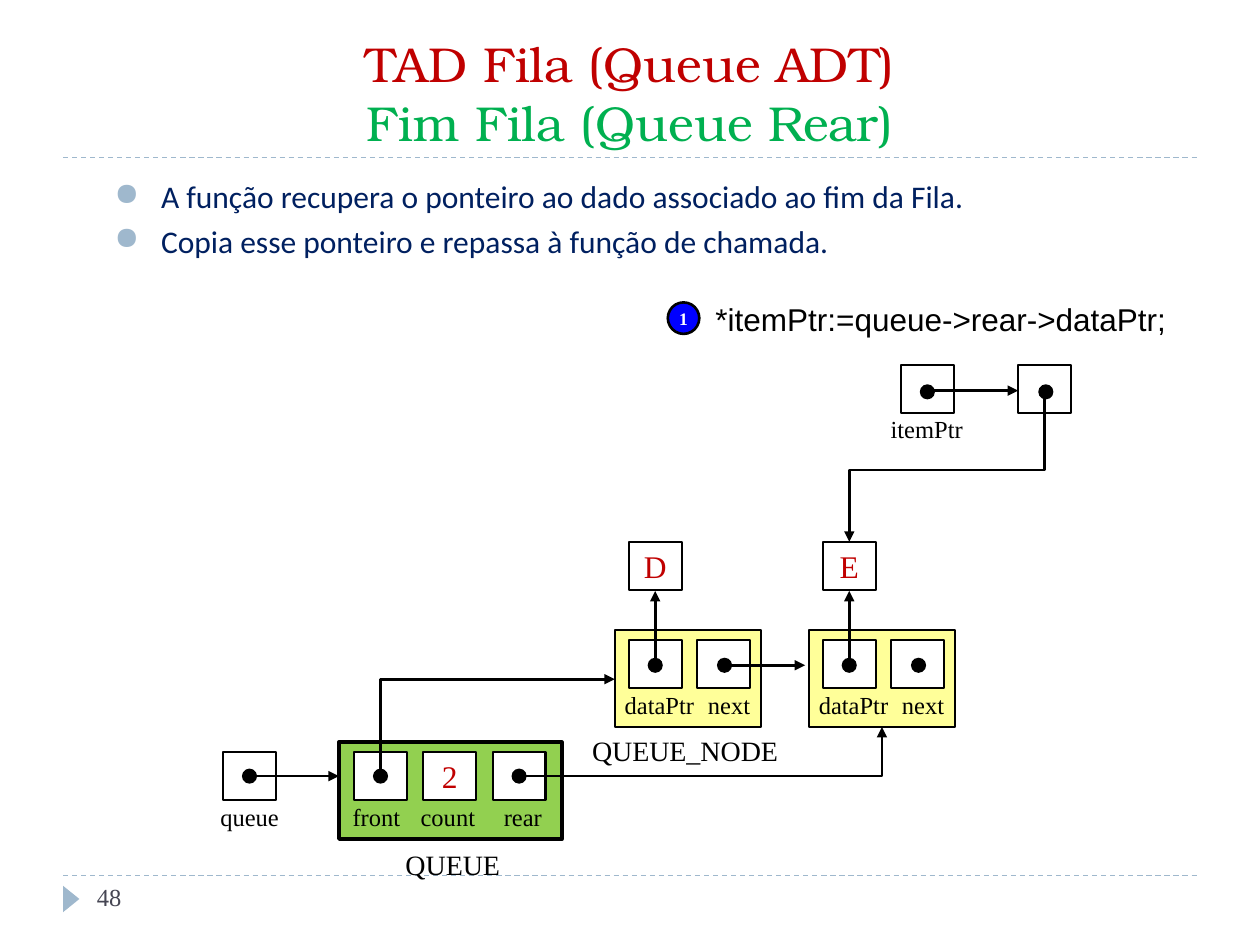
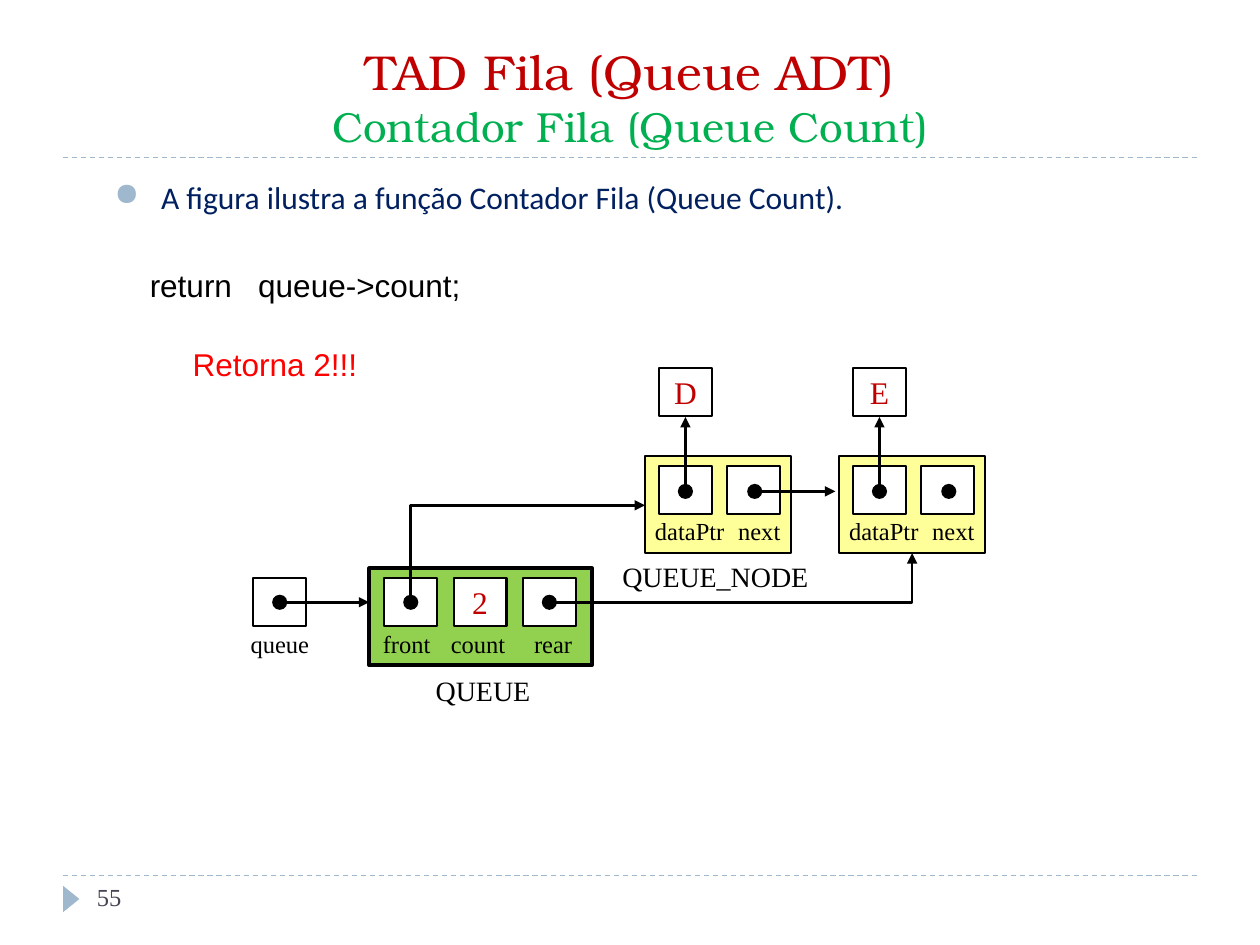
from copy import deepcopy
from lxml import etree
from pptx import Presentation
from pptx.dml.color import RGBColor
from pptx.enum.dml import MSO_LINE
from pptx.enum.shapes import MSO_CONNECTOR, MSO_SHAPE
from pptx.enum.text import MSO_ANCHOR, MSO_AUTO_SIZE, PP_ALIGN
from pptx.oxml.ns import qn
from pptx.util import Pt

PX = 9144
DASH = MSO_LINE.DASH
LINE, ELBOW = MSO_CONNECTOR.STRAIGHT, MSO_CONNECTOR.ELBOW
RECT, OVAL, WEDGE = MSO_SHAPE.RECTANGLE, MSO_SHAPE.OVAL, MSO_SHAPE.ISOSCELES_TRIANGLE
MIDDLE, BOTTOM = MSO_ANCHOR.MIDDLE, MSO_ANCHOR.BOTTOM
CENTER, JUSTIFY = PP_ALIGN.CENTER, PP_ALIGN.JUSTIFY
FIXED = MSO_AUTO_SIZE.NONE

BLACK = RGBColor(0, 0, 0)
WHITE = RGBColor(255, 255, 255)
RED = RGBColor(0xC0, 0, 0)
BRIGHT = RGBColor(255, 0, 0)
GREEN = RGBColor(0, 0xB0, 0x50)
LIME = RGBColor(0x92, 0xD0, 0x50)
YELLOW = RGBColor(0xFF, 0xFF, 0x99)
BLUE = RGBColor(0, 0, 255)
NAVY = RGBColor(0, 0x20, 0x60)
STEEL = RGBColor(0x9F, 0xB8, 0xCD)
SLATE = RGBColor(0x46, 0x46, 0x53)

HEAD, BODY, SERIF, CODE = "TeX Gyre Bonum", "Calibri", "Times New Roman", "Arial"
CELL = (42, 38)
DOT = 12

SLIDES = [
    dict(
        title=[("TAD Fila (Queue ADT)", 28, RED), ("Fim Fila (Queue Rear)", 28, GREEN)],
        number="48",
        points=["A função recupera o ponteiro ao dado associado ao fim da Fila.",
                "Copia esse ponteiro e repassa à função de chamada."],
        shift=(0, 0),
        code=[("*itemPtr:=queue->rear->dataPtr;", (558, 233, 392, 40), BLACK)],
        item=True,
    ),
    dict(
        title=[("TAD Fila (Queue ADT)", 28, RED), ("Contador Fila (Queue Count)", 24, GREEN)],
        number="55",
        points=["A figura ilustra a função Contador Fila (Queue Count)."],
        shift=(24, -138),
        code=[("return   queue->count;", (109, 206, 269, 40), BLACK),
              ("Retorna 2!!!", (143, 269, 152, 40), BRIGHT)],
        item=False,
    ),
]
NAMES = [("QUEUE_NODE", 460, 577, 169), ("QUEUE", 312, 668, 96)]
FIELDS = [("queue", 165, 67), ("front", 270, 58), ("count", 324, 64), ("rear", 390, 51)]
NODES = [("D", 488, 500), ("E", 642, 500)]
PARTS = [("dataPtr", -2, 76), ("next", 64, 54)]


def emu(*vals):
    return [round(v * PX) for v in vals]


def write(para, text, size, font, color, bold=False):
    run = para.add_run()
    run.text = text
    run.font.size, run.font.name, run.font.bold = Pt(size), font, bold
    run.font.color.rgb = color
    return run


class Canvas:
    def __init__(self, shapes, dx=0, dy=0):
        self.shapes, self.dx, self.dy = shapes, dx, dy

    def spot(self, x, y):
        return emu(x + self.dx, y + self.dy)

    def shape(self, kind, x, y, w, h, fill, width=0):
        item = self.shapes.add_shape(kind, *self.spot(x, y), *emu(w, h))
        item.shadow.inherit = False
        item.fill.solid()
        item.fill.fore_color.rgb = fill
        if width:
            item.line.color.rgb = BLACK
            item.line.width = Pt(width)
        else:
            item.line.fill.background()
        return item

    def mark(self, item, text, size, color, bold=False):
        frame = item.text_frame
        frame.word_wrap = False
        frame.vertical_anchor = MIDDLE
        para = frame.paragraphs[0]
        para.alignment = CENTER
        write(para, text, size, SERIF, color, bold)

    def cell(self, x, y, text=None):
        item = self.shape(RECT, x, y, *CELL, WHITE, 1.25)
        if text:
            self.mark(item, text, 18, RED)

    def dot(self, x, y):
        self.shape(OVAL, x, y, DOT, DOT, BLACK)

    def label(self, text, x, y, w, h=34, size=14, font=SERIF, color=BLACK):
        frame = self.shapes.add_textbox(*self.spot(x, y), *emu(w, h)).text_frame
        frame.word_wrap = True
        frame.margin_right = 0
        write(frame.paragraphs[0], text, size, font, color)

    def link(self, x1, y1, x2, y2, kind=LINE, color=BLACK, width=1.5, dash=None):
        item = self.shapes.add_connector(kind, *self.spot(x1, y1), *self.spot(x2, y2))
        item.line.color.rgb = color
        item.line.width = Pt(width)
        props = item._element.spPr
        if dash:
            item.line.dash_style = dash
        else:
            etree.SubElement(props.find(qn("a:ln")), qn("a:tailEnd"), type="triangle")
        etree.SubElement(props, qn("a:effectLst"))
        return props

    def bend(self, x1, y1, x2, y2, preset, upright):
        turn = 0
        if upright:
            mx, my = (x1 + x2) / 2, (y1 + y2) / 2
            w, h = abs(y2 - y1) / 2, abs(x2 - x1) / 2
            turn = 90 if y2 > y1 else 270
            x1, y1, x2, y2 = mx - w, my - h, mx + w, my + h
        props = self.link(x1, y1, x2, y2, ELBOW)
        props.find(qn("a:prstGeom")).set("prst", preset)
        if turn:
            props.find(qn("a:xfrm")).set("rot", str(turn * 60000))


def draw_queue(pen):
    for text, x, y, w in NAMES:
        pen.label(text, x, y, w, 37, 16)
    pen.shape(RECT, 269, 589, 177, 77, LIME, 2)
    for x, text in [(177, None), (281, None), (336, "2"), (391, None)]:
        pen.cell(x, 597, text)
    for text, x, w in FIELDS:
        pen.label(text, x, 632, w)
    pen.link(197, 616, 269, 616)
    pen.bend(302, 610, 488, 539, "bentConnector2", True)
    pen.bend(417, 616, 700, 577, "bentConnector2", False)
    for x in (192, 296, 406):
        pen.dot(x, 610)
    for value, x, y in NODES:
        pen.shape(RECT, x, y, 116, 77, YELLOW, 1.25)
        for text, dx, w in PARTS:
            pen.label(text, x + dx, y + 43, w)
        for dx in (11, 65):
            pen.cell(x + dx, y + 8)
        pen.cell(x + 11, y - 70, value)
        pen.link(x + 32, y + 27, x + 32, y - 31)
        for dx in (26, 81):
            pen.dot(x + dx, y + 22)
    pen.link(576, 528, 639, 528)


def draw_item(pen):
    for x in (715, 808):
        pen.cell(x, 290)
    pen.label("itemPtr", 697, 324, 78)
    pen.link(737, 310, 808, 310)
    for x in (730, 824):
        pen.dot(x, 305)


def draw_title(slide, lines):
    title = slide.shapes.title
    title.left, title.top, title.width, title.height = emu(50, 25, 900, 100)
    frame = title.text_frame
    frame.auto_size, frame.vertical_anchor = FIXED, BOTTOM
    para = frame.paragraphs[0]
    para.alignment = CENTER
    (head, size, color), (sub, small, tint) = lines
    run = write(para, head, size, HEAD, color)
    para.add_line_break()
    para._p.find(qn("a:br")).append(deepcopy(run._r.rPr))
    write(para, sub, small, HEAD, tint)


def draw_points(slide, points):
    box = slide.shapes.add_textbox(*emu(81, 136, 850, 15 + 34 * len(points)))
    frame = box.text_frame
    frame.word_wrap = True
    for i, text in enumerate(points):
        para = frame.add_paragraph() if i else frame.paragraphs[0]
        props = para._p.get_or_add_pPr()
        left = emu(37)[0]
        props.set("marL", str(left))
        props.set("indent", str(-left))
        tint = etree.SubElement(props, qn("a:buClr"))
        etree.SubElement(tint, qn("a:srgbClr"), val=str(STEEL))
        etree.SubElement(props, qn("a:buChar"), char="●")
        para.alignment = JUSTIFY
        if i:
            para.space_before = Pt(3.6)
        write(para, text, 18, BODY, NAVY)


def build(deck, data):
    slide = deck.slides.add_slide(deck.slide_layouts[5])
    page = Canvas(slide.shapes)
    for y in (695, 125):
        page.link(50, y, 950, y, color=STEEL, width=0.75, dash=DASH)
    page.shape(WEDGE, 46, 707, 21, 13, STEEL).rotation = 90
    draw_title(slide, data["title"])
    page.label(data["number"], 67, 695, 217, 40, color=SLATE)
    draw_points(slide, data["points"])
    draw_queue(Canvas(slide.shapes.add_group_shape().shapes, *data["shift"]))
    if data["item"]:
        page.mark(page.shape(OVAL, 530, 240, 25, 25, BLUE, 1.5), "1", 10, WHITE, True)
        draw_item(Canvas(slide.shapes.add_group_shape().shapes))
        page.bend(829, 316, 674, 430, "bentConnector3", True)
    for text, place, color in data["code"]:
        page.label(text, *place, 18, CODE, color)


def main():
    deck = Presentation()
    deck.slide_width, deck.slide_height = emu(1000, 750)
    for data in SLIDES:
        build(deck, data)
    deck.save("out.pptx")


if __name__ == "__main__":
    main()
